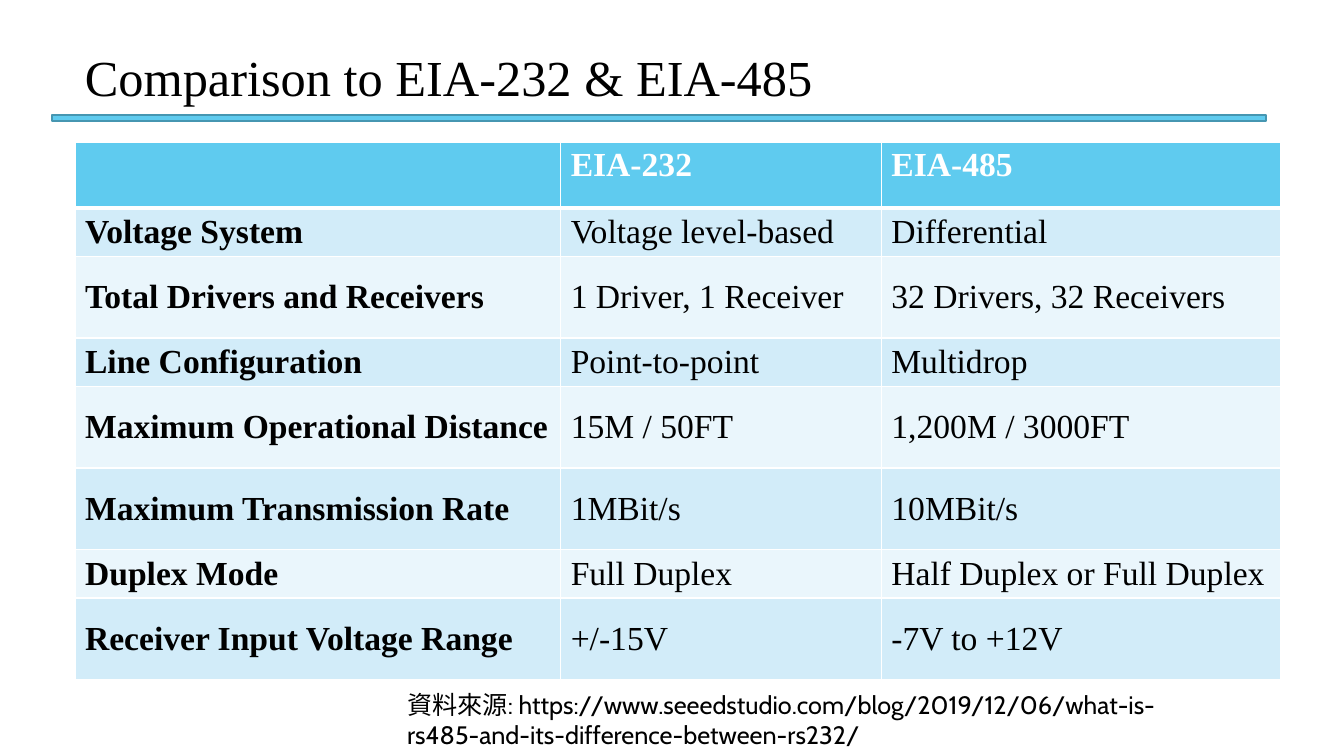
"""Build a slide with a table comparing EIA-232 and EIA-485."""
from lxml import etree
from pptx import Presentation
from pptx.dml.color import RGBColor
from pptx.enum.shapes import MSO_SHAPE
from pptx.enum.text import MSO_ANCHOR
from pptx.oxml.ns import qn
from pptx.util import Cm, Pt

TITLE = "Comparison to EIA-232 & EIA-485"
SOURCE = ("資料來源: https://www.seeedstudio.com/blog/2019/12/06/"
          "what-is-rs485-and-its-difference-between-rs232/")
ROWS = [
    ("", "EIA-232", "EIA-485"),
    ("Voltage System", "Voltage level-based", "Differential"),
    ("Total Drivers and Receivers", "1 Driver, 1 Receiver", "32 Drivers, 32 Receivers"),
    ("Line Configuration", "Point-to-point", "Multidrop"),
    ("Maximum Operational Distance", "15M / 50FT", "1,200M / 3000FT"),
    ("Maximum Transmission Rate", "1MBit/s", "10MBit/s"),
    ("Duplex Mode", "Full Duplex", "Half Duplex or Full Duplex"),
    ("Receiver Input Voltage Range", "+/-15V", "-7V to +12V"),
]
COLUMN_WIDTHS = [12.24, 8.08, 10.05]
HEADER_HEIGHT, SHORT, TALL = 1.65, 1.18, 2.06
ROW_HEIGHTS = [HEADER_HEIGHT, SHORT, TALL, SHORT, TALL, TALL, SHORT, TALL]

SERIF, SANS = "Times New Roman", "Cabin"
BLACK = RGBColor(0x00, 0x00, 0x00)
WHITE = RGBColor(0xFF, 0xFF, 0xFF)
SKY = RGBColor(0x5F, 0xCB, 0xEF)
SKY_EDGE = RGBColor(0x46, 0x96, 0xB1)
BANDS = [RGBColor(0xEA, 0xF6, 0xFC), RGBColor(0xD2, 0xEC, 0xF9)]
MIDDLE, TOP = MSO_ANCHOR.MIDDLE, MSO_ANCHOR.TOP
RECTANGLE = MSO_SHAPE.RECTANGLE


def set_font(paragraph, name, size, color=BLACK, bold=False):
    font = paragraph.font
    font.name, font.size, font.bold = name, Pt(size), bold
    font.color.rgb = color


def add_text(slide, box, text, name, size, anchor):
    frame = slide.shapes.add_textbox(*map(Cm, box)).text_frame
    frame.word_wrap = True
    frame.vertical_anchor = anchor
    paragraph = frame.paragraphs[0]
    paragraph.text = text
    set_font(paragraph, name, size)


def add_borders(cell, row_index):
    widths = {"lnL": 1, "lnR": 1,
              "lnT": 3 if row_index == 1 else 1,
              "lnB": 3 if row_index == 0 else 1}
    properties = cell._tc.get_or_add_tcPr()
    for tag, width in widths.items():
        line = etree.SubElement(properties, qn(f"a:{tag}"), w=str(Pt(width)))
        fill = etree.SubElement(line, qn("a:solidFill"))
        etree.SubElement(fill, qn("a:srgbClr"), val=str(WHITE))


def style_cell(cell, text, row_index, column_index):
    header = row_index == 0
    add_borders(cell, row_index)
    cell.fill.solid()
    cell.fill.fore_color.rgb = SKY if header else BANDS[row_index % 2]
    cell.vertical_anchor = TOP if header else MIDDLE
    cell.margin_top = cell.margin_bottom = Cm(0.1)
    paragraph = cell.text_frame.paragraphs[0]
    paragraph.text = text
    set_font(paragraph, SERIF, 24, WHITE if header else BLACK,
             header or column_index == 0)


def add_comparison(slide):
    table = slide.shapes.add_table(
        len(ROWS), len(COLUMN_WIDTHS), Cm(1.89), Cm(3.59),
        Cm(sum(COLUMN_WIDTHS)), Cm(sum(ROW_HEIGHTS))).table
    for column, width in zip(table.columns, COLUMN_WIDTHS):
        column.width = Cm(width)
    for row_index, (texts, height) in enumerate(zip(ROWS, ROW_HEIGHTS)):
        table.rows[row_index].height = Cm(height)
        for column_index, text in enumerate(texts):
            style_cell(table.cell(row_index, column_index), text,
                       row_index, column_index)


def main():
    presentation = Presentation()
    presentation.slide_width, presentation.slide_height = Cm(33.87), Cm(19.05)
    slide = presentation.slides.add_slide(presentation.slide_layouts[6])

    rule = slide.shapes.add_shape(RECTANGLE, Cm(1.32), Cm(2.91), Cm(30.58), Cm(0.13))
    rule.shadow.inherit = False
    rule.fill.solid()
    rule.fill.fore_color.rgb = SKY
    rule.line.color.rgb = SKY_EDGE
    rule.line.width = Pt(1.5)

    add_text(slide, (1.89, 0.94, 23.88, 1.98), TITLE, SERIF, 36, MIDDLE)
    add_comparison(slide)
    add_text(slide, (10.01, 17.25, 20.37, 1.8), SOURCE, SANS, 18, TOP)
    presentation.save("out.pptx")


if __name__ == "__main__":
    main()
